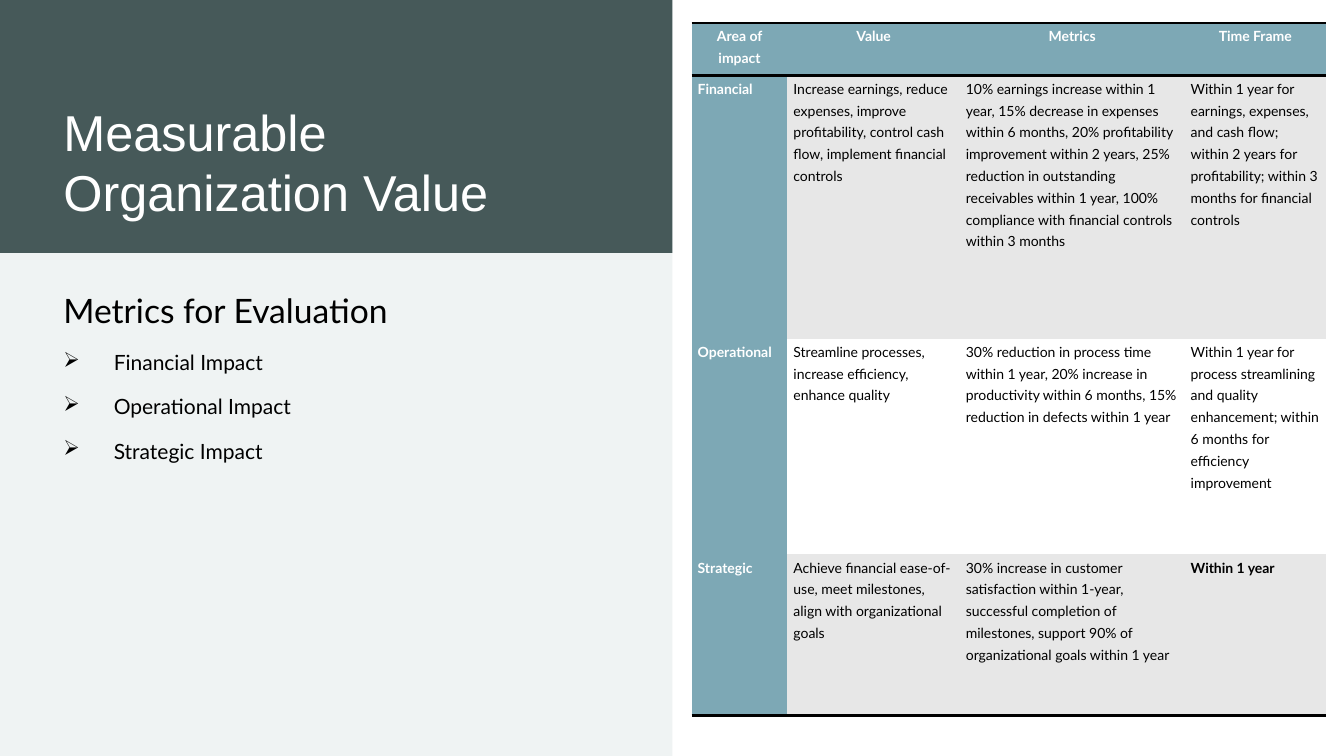
import pptx
import pptx.util
import pptx.dml.color
import pptx.enum.shapes
import pptx.enum.text
import pptx.oxml
import pptx.oxml.ns
from lxml import etree

Inches, Pt = pptx.util.Inches, pptx.util.Pt
ALIGN = pptx.enum.text.PP_ALIGN
ANCHOR = pptx.enum.text.MSO_ANCHOR

COLORS = {"panel": "EFF3F3", "band": "465959", "teal": "7DA8B5",
          "stripe": "E7E7E7", "white": "FFFFFF", "black": "000000"}
TITLE = "Measurable Organization Value"
SUBTITLE = "Metrics for Evaluation"
IMPACTS = ["Financial Impact", "Operational Impact", "Strategic Impact"]
ROWS = [
    ("Area of impact", "Value", "Metrics", "Time Frame"),
    ("Financial",
     "Increase earnings, reduce expenses, improve profitability, control cash flow, "
     "implement financial controls",
     "10% earnings increase within 1 year, 15% decrease in expenses within 6 months, "
     "20% profitability improvement within 2 years, 25% reduction in outstanding "
     "receivables within 1 year, 100% compliance with financial controls within 3 months",
     "Within 1 year for earnings, expenses, and cash flow; within 2 years for "
     "profitability; within 3 months for financial controls"),
    ("Operational",
     "Streamline processes, increase efficiency, enhance quality",
     "30% reduction in process time within 1 year, 20% increase in productivity within "
     "6 months, 15% reduction in defects within 1 year",
     "Within 1 year for process streamlining and quality enhancement; within 6 months "
     "for efficiency improvement"),
    ("Strategic",
     "Achieve financial ease-of-use, meet milestones, align with organizational goals",
     "30% increase in customer satisfaction within 1-year, successful completion of "
     "milestones, support 90% of organizational goals within 1 year",
     "Within 1 year"),
]
COL_WIDTHS = [0.95, 1.71, 2.23, 1.4]
ROW_HEIGHTS = [0.52, 2.61, 2.14, 1.6]
NO_STYLE = "{2D5ABB26-0587-4C30-8999-92F81FD0307C}"


def rgb(name):
    return pptx.dml.color.RGBColor.from_string(COLORS[name])


def write(p, text, size, color="black", font="Lato", bold=False, align=None,
          spacing=None, before=None, bullet=None):
    if bullet:
        pPr = p._p.get_or_add_pPr()
        pPr.set("marL", str(Inches(0.5)))
        pPr.set("indent", str(-Inches(0.5)))
        etree.SubElement(pPr, pptx.oxml.ns.qn("a:buChar")).set("char", bullet)
    p.alignment = align
    p.line_spacing = spacing
    p.space_before = before
    r = p.add_run()
    r.text = text
    r.font.name, r.font.size, r.font.bold = font, Pt(size), bold
    r.font.color.rgb = rgb(color)


def add_panel(slide, height, color):
    sp = slide.shapes.add_shape(pptx.enum.shapes.MSO_SHAPE.RECTANGLE,
                                0, 0, Inches(6.67), Inches(height))
    sp.shadow.inherit = False
    sp.fill.solid()
    sp.fill.fore_color.rgb = rgb(color)
    sp.line.fill.background()


def add_text_frame(slide, top, height, anchor):
    tf = slide.shapes.add_textbox(Inches(0.53), Inches(top),
                                  Inches(5.78), Inches(height)).text_frame
    tf.word_wrap = True
    tf.vertical_anchor = anchor
    return tf


def set_borders(cell, sides):
    """Draw black 2 pt rules on the given sides, in the order T, B."""
    tcPr = cell._tc.get_or_add_tcPr()
    for i, side in enumerate(sides):
        tcPr.insert(i, pptx.oxml.parse_xml(
            f'<a:ln{side} {pptx.oxml.ns.nsdecls("a")} w="{Pt(2)}"><a:solidFill>'
            f'<a:srgbClr val="{COLORS["black"]}"/></a:solidFill></a:ln{side}>'))


def add_impact_table(slide):
    table = slide.shapes.add_table(
        len(ROWS), len(COL_WIDTHS), Inches(6.86), Inches(0.23),
        Inches(sum(COL_WIDTHS)), Inches(sum(ROW_HEIGHTS))).table
    table._tbl.tblPr.find(pptx.oxml.ns.qn("a:tableStyleId")).text = NO_STYLE
    table.first_col = True
    for col, width in zip(table.columns, COL_WIDTHS):
        col.width = Inches(width)
    last = len(ROWS) - 1
    for i, texts in enumerate(ROWS):
        table.rows[i].height = Inches(ROW_HEIGHTS[i])
        for j, text in enumerate(texts):
            cell = table.cell(i, j)
            heading = i == 0 or j == 0
            cell.margin_left = cell.margin_right = Inches(0.06)
            cell.margin_top = cell.margin_bottom = 0
            cell.fill.solid()
            cell.fill.fore_color.rgb = rgb(
                "teal" if heading else "stripe" if i % 2 else "white")
            set_borders(cell, "TB" if i == 0 else "B" if i == last else "")
            write(cell.text_frame.paragraphs[0], text, 10,
                  color="white" if heading else "black",
                  bold=heading or (i, j) == (last, len(texts) - 1),
                  align=ALIGN.CENTER if i == 0 else ALIGN.LEFT, spacing=1.3)


def main():
    prs = pptx.Presentation()
    prs.slide_width, prs.slide_height = Inches(13.33), Inches(7.5)
    slide = prs.slides.add_slide(prs.slide_layouts[6])

    add_panel(slide, 7.5, "panel")
    add_panel(slide, 2.51, "band")

    tf = add_text_frame(slide, 0.5, 1.75, ANCHOR.BOTTOM)
    write(tf.paragraphs[0], TITLE, 36, color="white", font="Arial")

    add_impact_table(slide)

    tf = add_text_frame(slide, 2.75, 3.67, ANCHOR.TOP)
    write(tf.paragraphs[0], SUBTITLE, 24, spacing=1.2)
    for impact in IMPACTS:
        write(tf.add_paragraph(), impact, 15, spacing=1.2, before=Pt(10), bullet="➢")

    prs.save("out.pptx")


if __name__ == "__main__":
    main()
